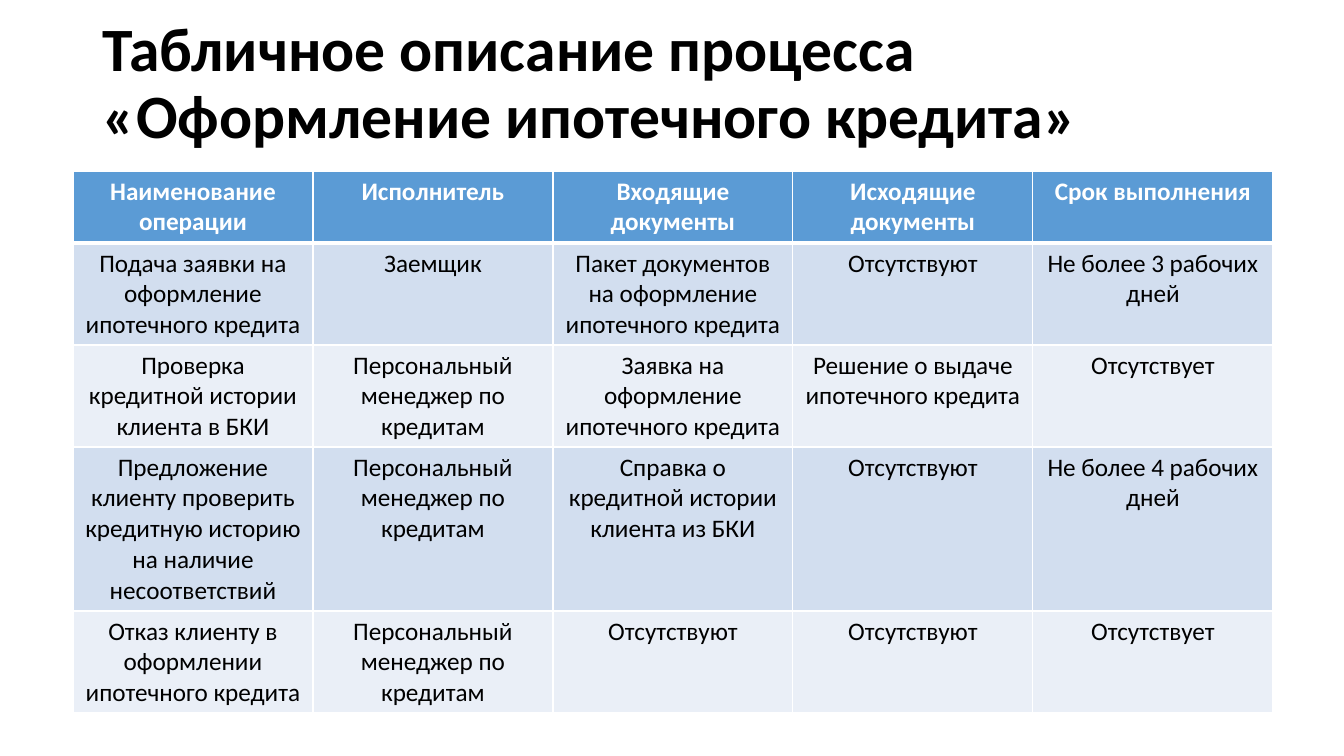
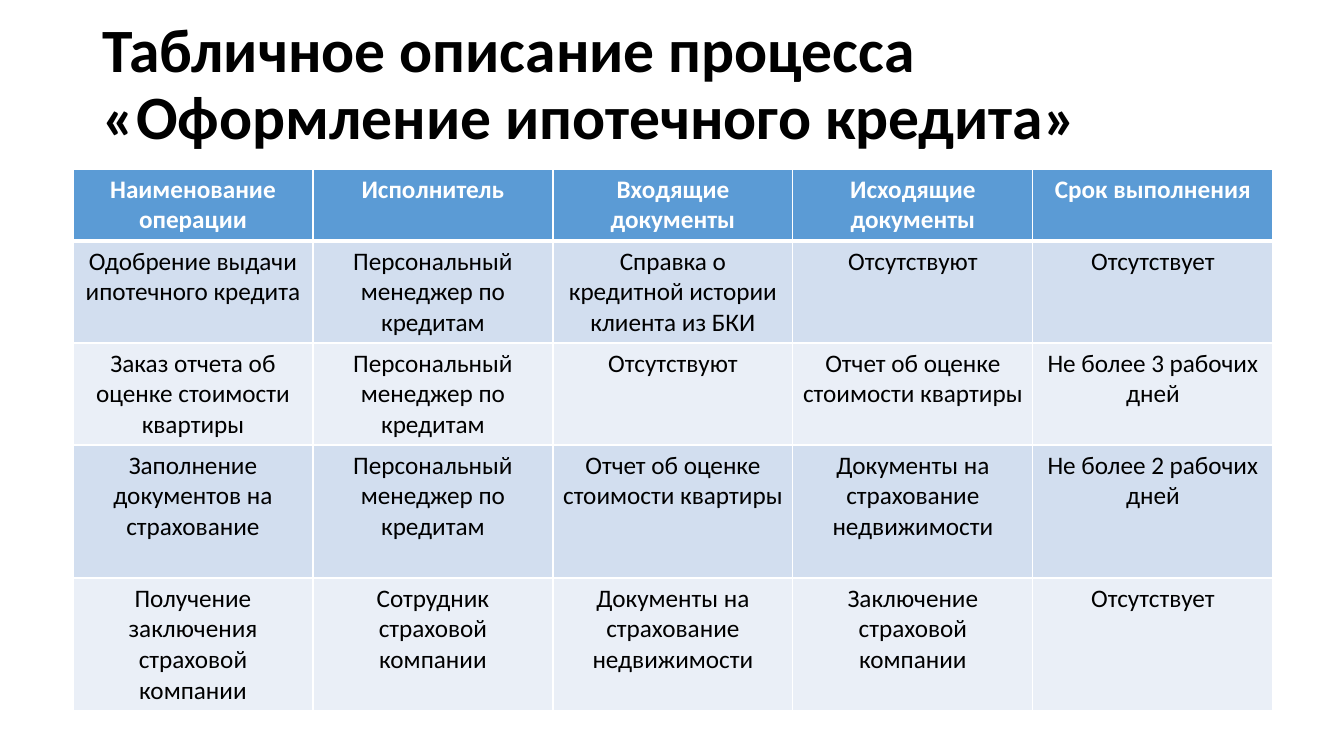
from lxml.etree import SubElement
from pptx import Presentation
from pptx.dml.color import RGBColor
from pptx.enum.text import MSO_ANCHOR as Anchor, PP_ALIGN as Align
from pptx.oxml.ns import qn
from pptx.util import Emu, Pt

COLORS = {
    "title": "000000",
    "header": "5B9BD5",
    "header_text": "FFFFFF",
    "body_text": "000000",
    "odd_row": "D2DEEF",
    "even_row": "EAEFF7",
    "border": "FFFFFF",
}
FONT = "Calibri"
EMU_PER_PIXEL = 914400 / 100.8
SLIDE_SIZE = (1344, 756)
TABLE_LEFT, COLUMN_WIDTH = 73, 240
TITLE = "Табличное описание процесса «Оформление ипотечного кредита»"
HEADER = ["Наименование операции", "Исполнитель", "Входящие документы",
          "Исходящие документы", "Срок выполнения"]
MANAGER = "Персональный менеджер по кредитам"
CREDIT_REPORT = "Справка о кредитной истории клиента из БКИ"
APPRAISAL = "Отчет об оценке стоимости квартиры"
INSURANCE = "Документы на страхование недвижимости"
NO_DOCUMENTS = "Отсутствуют"
NO_DEADLINE = "Отсутствует"

PROCESS_SLIDES = [
    {
        "title_top": 12,
        "table_top": 171,
        "row_heights": [72, 102, 102, 164, 102],
        "operations": [
            ["Подача заявки на оформление ипотечного кредита", "Заемщик",
             "Пакет документов на оформление ипотечного кредита",
             NO_DOCUMENTS, "Не более 3 рабочих дней"],
            ["Проверка кредитной истории клиента в БКИ", MANAGER,
             "Заявка на оформление ипотечного кредита",
             "Решение о выдаче ипотечного кредита", NO_DEADLINE],
            ["Предложение клиенту проверить кредитную историю на наличие несоответствий",
             MANAGER, CREDIT_REPORT, NO_DOCUMENTS, "Не более 4 рабочих дней"],
            ["Отказ клиенту в оформлении ипотечного кредита", MANAGER,
             NO_DOCUMENTS, NO_DOCUMENTS, NO_DEADLINE],
        ],
    },
    {
        "title_top": 13,
        "table_top": 169,
        "row_heights": [72, 102, 102, 133, 133],
        "operations": [
            ["Одобрение выдачи ипотечного кредита", MANAGER, CREDIT_REPORT,
             NO_DOCUMENTS, NO_DEADLINE],
            ["Заказ отчета об оценке стоимости квартиры", MANAGER,
             NO_DOCUMENTS, APPRAISAL, "Не более 3 рабочих дней"],
            ["Заполнение документов на страхование", MANAGER, APPRAISAL,
             INSURANCE, "Не более 2 рабочих дней"],
            ["Получение заключения страховой компании",
             "Сотрудник страховой компании", INSURANCE,
             "Заключение страховой компании", NO_DEADLINE],
        ],
    },
]


def pixels(length):
    return Emu(round(length * EMU_PER_PIXEL))


def color(name):
    return RGBColor.from_string(COLORS[name])


def write_text(frame, text, *, size, ink, bold=False, align=Align.LEFT, spacing=1.0):
    frame.word_wrap = True
    paragraph = frame.paragraphs[0]
    paragraph.alignment = align
    paragraph.line_spacing = spacing
    run = paragraph.add_run()
    run.text = text
    run.font.name = FONT
    run.font.size = Pt(size)
    run.font.bold = bold
    run.font.color.rgb = color(ink)


def add_title(slide, top):
    box = slide.shapes.add_textbox(*map(pixels, (93, top, 1159, 146)))
    box.text_frame.vertical_anchor = Anchor.MIDDLE
    write_text(box.text_frame, TITLE, size=44, ink="title", bold=True, spacing=0.9)


def set_borders(cell, top, bottom):
    properties = cell._tc.get_or_add_tcPr()
    for side, width in (("L", 1), ("R", 1), ("T", top), ("B", bottom)):
        line = SubElement(properties, qn(f"a:ln{side}"), w=str(Pt(width)))
        fill = SubElement(line, qn("a:solidFill"))
        SubElement(fill, qn("a:srgbClr"), val=COLORS["border"])


def format_cell(cell, text, row_index):
    is_header = row_index == 0
    set_borders(cell, top=3 if row_index == 1 else 1, bottom=3 if is_header else 1)
    band = "header" if is_header else "odd_row" if row_index % 2 else "even_row"
    cell.fill.solid()
    cell.fill.fore_color.rgb = color(band)
    write_text(cell.text_frame, text, size=18, bold=is_header, align=Align.CENTER,
               ink="header_text" if is_header else "body_text")


def add_process_table(slide, top, row_heights, operations):
    rows = [HEADER, *operations]
    bounds = (TABLE_LEFT, top, COLUMN_WIDTH * len(HEADER), sum(row_heights))
    table = slide.shapes.add_table(len(rows), len(HEADER), *map(pixels, bounds)).table
    table.horz_banding = False
    for column in table.columns:
        column.width = pixels(COLUMN_WIDTH)
    for row_index, (texts, height) in enumerate(zip(rows, row_heights)):
        table.rows[row_index].height = pixels(height)
        for column_index, text in enumerate(texts):
            format_cell(table.cell(row_index, column_index), text, row_index)


def main():
    presentation = Presentation()
    presentation.slide_width, presentation.slide_height = map(pixels, SLIDE_SIZE)
    for content in PROCESS_SLIDES:
        slide = presentation.slides.add_slide(presentation.slide_layouts[6])
        add_title(slide, content["title_top"])
        add_process_table(slide, content["table_top"], content["row_heights"],
                          content["operations"])
    presentation.save("out.pptx")


main()
